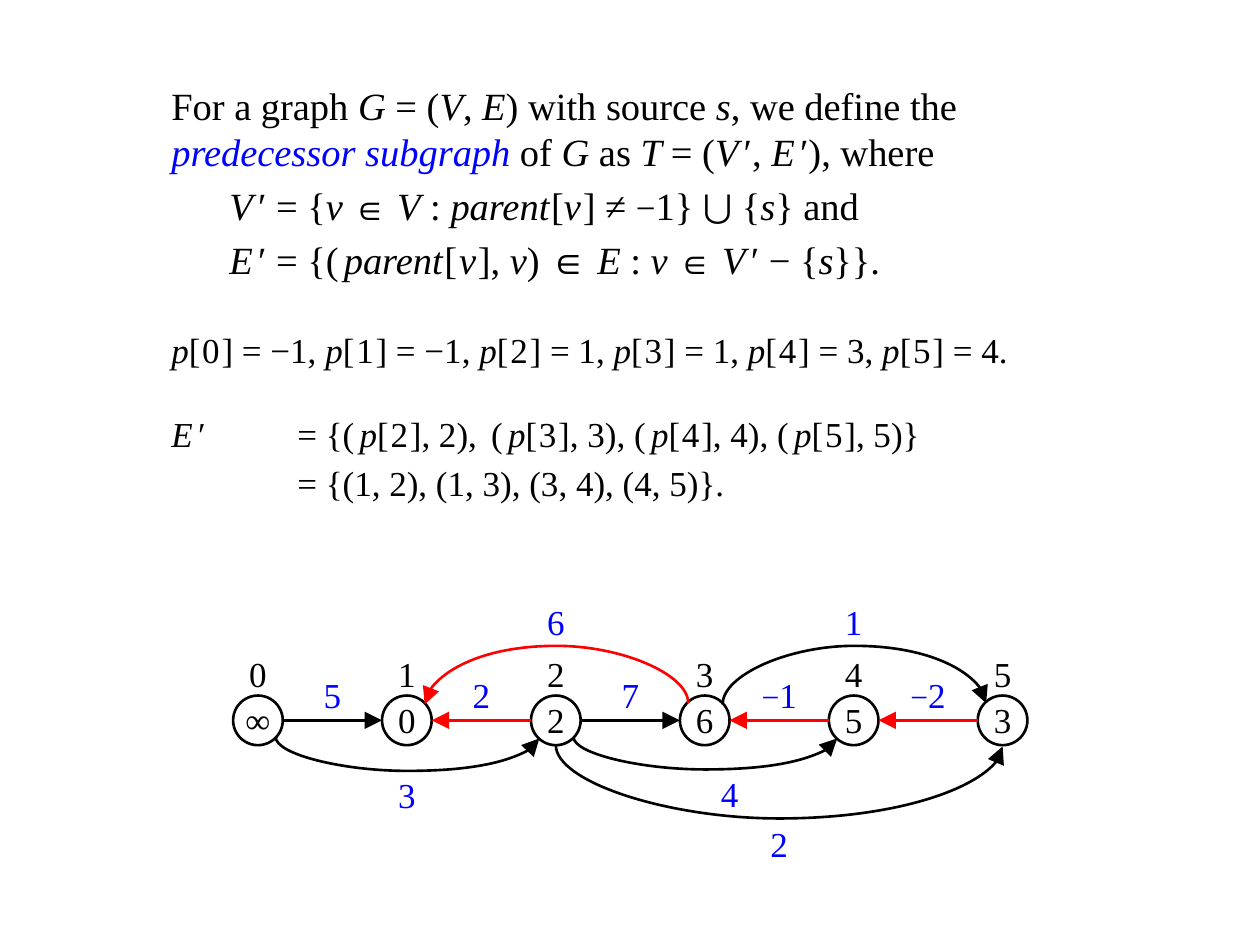
"""Build the slide that defines the predecessor subgraph."""
import itertools

import lxml.etree
import pptx
import pptx.dml.color
import pptx.enum.shapes
import pptx.enum.text
import pptx.oxml
import pptx.oxml.ns
import pptx.util

FONT = "Times New Roman"
BLACK, BLUE, RED, WHITE = "000000", "0000FF", "FF0000", "FFFFFF"
CELL, LEFT, TOP, STEP = 0.394, 1.85, 5.52, 3
DRIFT = 0.01
MARKS = "*#|~^"

DISTANCES = ["∞", "0", "2", "6", "5", "3"]
PARENTS = ["−1", "−1", "1", "1", "3", "4"]
WEIGHTS = ["5", "2", "7", "^−^1", "^−^2"]
BACKWARD = {1, 3, 4}
ARC_LABELS = [("6", 6, -2, 0), ("1", 12, -2, 0), ("3", 3, 1.5, 0),
              ("4", 9.5, 1.5, 0.02), ("2", 10.5, 2.5, 0.02)]
ARCS = [(3.86, 9.17, 0.18, -1.02, RED, "headEnd"),
        (0.86, 6.17, 0.84, 1.53, BLACK, "tailEnd"),
        (9.86, 15.17, 0.18, -1.02, BLACK, "tailEnd"),
        (6.86, 12.17, 0.84, 1.5, BLACK, "tailEnd"),
        (6.5, 15.5, 1, 2.5, BLACK, "tailEnd")]


def rgb(value):
    """Turn a hex string into a colour."""
    return pptx.dml.color.RGBColor.from_string(value)


def across(column):
    """Give the horizontal place of a grid column."""
    return pptx.util.Inches(LEFT + column * CELL)


def down(row):
    """Give the vertical place of a grid row."""
    return pptx.util.Inches(TOP + row * CELL)


def styled(text):
    """Pair each letter with its marks: * italic, # blue, | wide, ~ loose, ^ small."""
    active = frozenset()
    for letter in text:
        if letter in MARKS:
            active = active ^ {letter}
        else:
            yield active, letter


def write(para, text, size, colour=BLACK):
    """Write marked text into a paragraph."""
    para.font.name = FONT
    para.font.size = pptx.util.Pt(size)
    para.font.color.rgb = rgb(colour)
    for marks, pairs in itertools.groupby(styled(text), key=lambda pair: pair[0]):
        span = para.add_run()
        span.text = "".join(letter for _, letter in pairs)
        span.font.name = FONT
        span.font.size = pptx.util.Pt(size - 2 if "^" in marks else size)
        span.font.color.rgb = rgb(BLUE if "#" in marks else colour)
        span.font.italic = "*" in marks
        spacing = 300 if "|" in marks else 100 if "~" in marks else 0
        if spacing:
            span.font._element.set("spc", str(spacing))


def add_statement(frame, text, size, before=0, indent=0):
    """Add a paragraph without a bullet to the body."""
    para = frame.paragraphs[0] if not frame.text else frame.add_paragraph()
    properties = para._p.get_or_add_pPr()
    properties.set("marL", str(pptx.util.Inches(indent)))
    properties.set("indent", "0")
    properties.set("defTabSz", str(pptx.util.Inches(1)))
    lxml.etree.SubElement(properties, pptx.oxml.ns.qn("a:buNone"))
    para.space_before = pptx.util.Pt(before)
    write(para, text, size)


def fill_body(page):
    """Place the body and write the definitions."""
    body = page.placeholders[1]
    body.left, body.top, body.width, body.height = map(
        pptx.util.Inches, (1.26, 0.6, 7.48, 3.54))
    frame = body.text_frame
    frame.word_wrap = True
    frame.auto_size = pptx.enum.text.MSO_AUTO_SIZE.NONE
    add_statement(frame, "For a graph *G *= (*V*, *E*) with source *s*, we define the "
                  "#*predecessor subgraph*# of *G* as *T *= (*|V|*′, *|E|*′), where", 22)
    add_statement(frame, "*|V|*′ = {*v *^∈^ *V* : *paren~t~*[*~v~*] ≠ ^−^1} ⋃ {*s*} and",
                  22, 4.4, 0.46)
    add_statement(frame, "*|E|*′ = {|(|*paren~t~*~[*v*~], *v*) ∈ *E* : "
                  "*v *^∈^ *|V|*′ − {*s*}}.", 22, 4.4, 0.46)
    values = [f"*p*~[{node}~] = {parent}" for node, parent in enumerate(PARENTS)]
    add_statement(frame, ", ".join(values) + ".", 20, 26.5)
    add_statement(frame, "*|E|*′\t= {|(|*p*~[2~], 2),| (|*p*~[3~], 3), "
                  "|(|*p*~[4~], 4), |(|*p*~[5~], 5)}", 20, 24)
    add_statement(frame, "= {(1, 2), (1, 3), (3, 4), (4, 5)}.", 20, 4, 1)


def set_label(shape, text, colour, top, bottom):
    """Centre a short label in a shape."""
    frame = shape.text_frame
    frame.word_wrap = False
    frame.vertical_anchor = pptx.enum.text.MSO_ANCHOR.MIDDLE
    frame.margin_left = frame.margin_right = 0
    frame.margin_top, frame.margin_bottom = map(pptx.util.Inches, (top, bottom))
    para = frame.paragraphs[0]
    para.alignment = pptx.enum.text.PP_ALIGN.CENTER
    write(para, text, 20, colour)


def add_label(page, text, column, row, colour=BLUE, top=0, bottom=0.02):
    """Add a label that fills one grid cell."""
    size = pptx.util.Inches(CELL)
    box = page.shapes.add_textbox(across(column), down(row), size, size)
    set_label(box, text, colour, top, bottom)


def add_node(page, text, column):
    """Add a graph node."""
    size = pptx.util.Inches(CELL)
    node = page.shapes.add_shape(pptx.enum.shapes.MSO_SHAPE.OVAL,
                                 across(column), down(0), size, size)
    node.shadow.inherit = False
    node.fill.solid()
    node.fill.fore_color.rgb = rgb(WHITE)
    node.line.color.rgb = rgb(BLACK)
    node.line.width = pptx.util.Pt(1.5)
    set_label(node, text, BLACK, 0, 0.02)


def style_arrow(arrow, colour, end="tailEnd"):
    """Set the line and arrowhead of a connector."""
    arrow.line.color.rgb = rgb(colour)
    arrow.line.width = pptx.util.Pt(1.5)
    lxml.etree.SubElement(arrow.line._get_or_add_ln(), pptx.oxml.ns.qn(f"a:{end}"),
                          type="triangle", w="lg", len="lg")
    lxml.etree.SubElement(arrow._element.spPr, pptx.oxml.ns.qn("a:effectLst"))


def add_edge(page, start, end, colour):
    """Add a straight edge between two columns."""
    edge = page.shapes.add_connector(pptx.enum.shapes.MSO_CONNECTOR.STRAIGHT,
                                     across(start), down(0.5), across(end), down(0.5))
    style_arrow(edge, colour)


def add_arc(page, start, end, row, peak, colour, arrowhead):
    """Add a curved edge that bulges to the peak row."""
    above = peak < row
    thickness, span = pptx.util.Inches(DRIFT), across(end) - across(start)
    left = (across(start) + across(end) - thickness) // 2
    middle = down(row) + (-thickness if above else thickness) // 2
    top = middle - span // 2
    arc = page.shapes.add_connector(pptx.enum.shapes.MSO_CONNECTOR.CURVE,
                                    left, top, left + thickness, top + span)
    frame = arc._element.spPr.find(pptx.oxml.ns.qn("a:xfrm"))
    frame.set("rot", str((90 if above else 270) * 60000))
    frame.set("flipH", "1")
    if above:
        frame.set("flipV", "1")
    guides = arc._element.spPr.find(pptx.oxml.ns.qn("a:prstGeom")).get_or_add_avLst()
    bulge = round(abs(peak - row) * CELL / DRIFT * 100000)
    lxml.etree.SubElement(guides, pptx.oxml.ns.qn("a:gd"), name="adj1", fmla=f"val {bulge}")
    style_arrow(arc, colour, arrowhead)


def draw_graph(page):
    """Draw nodes, edges, arcs and their labels."""
    for index, distance in enumerate(DISTANCES):
        add_node(page, distance, index * STEP)
        add_label(page, str(index), index * STEP, -1, BLACK, 0.04, 0)
    for index, weight in enumerate(WEIGHTS):
        start, end = index * STEP + 1, (index + 1) * STEP
        if index in BACKWARD:
            add_edge(page, end, start, RED)
        else:
            add_edge(page, start, end, BLACK)
        add_label(page, weight, index * STEP + STEP / 2, -0.5)
    for arc in ARCS:
        add_arc(page, *arc)
    for text, column, row, bottom in ARC_LABELS:
        add_label(page, text, column, row, bottom=bottom)


def main():
    """Build and save the deck."""
    deck = pptx.Presentation()
    deck.slide_width, deck.slide_height = pptx.util.Inches(10), pptx.util.Inches(7.5)
    page = deck.slides.add_slide(deck.slide_layouts[1])
    title = page.shapes.title._element
    title.getparent().remove(title)
    fill_body(page)
    draw_graph(page)
    deck.save("out.pptx")


if __name__ == "__main__":
    main()
